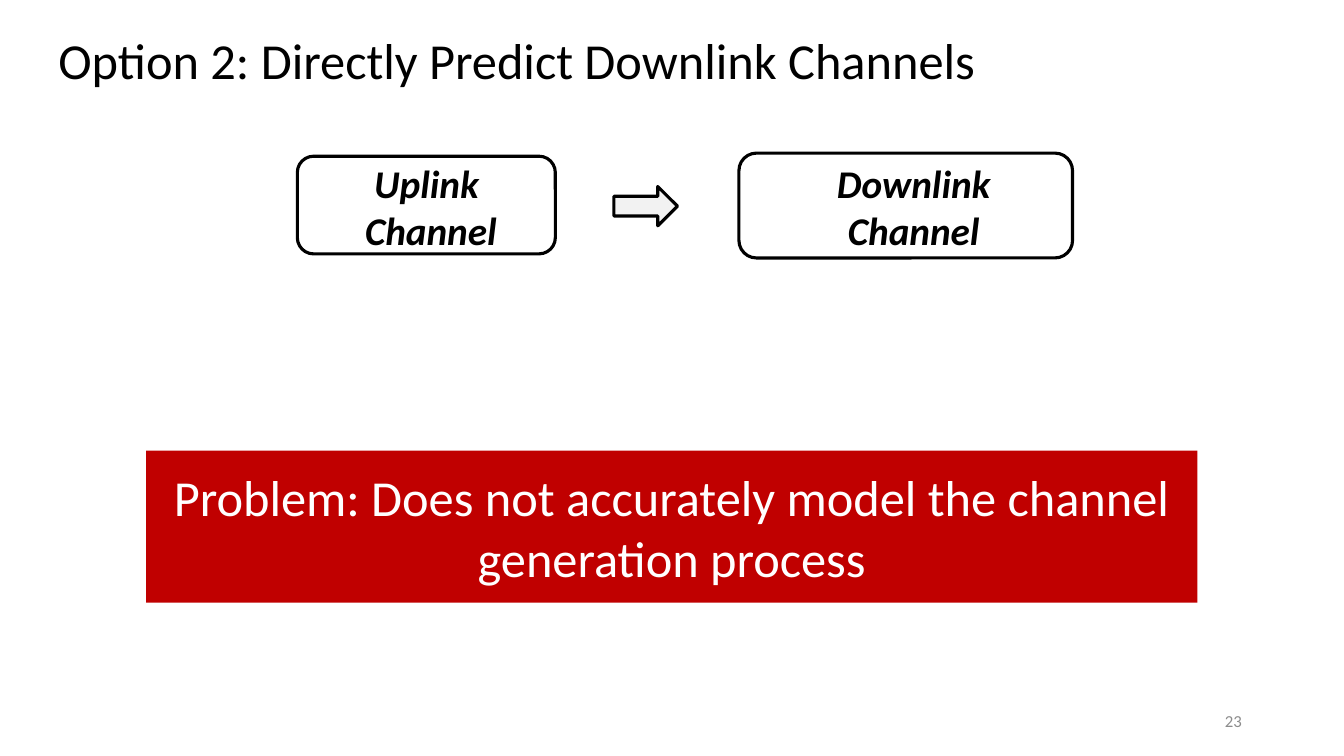
"""Build the slide on predicting downlink channels directly."""
from dataclasses import dataclass

from pptx import Presentation
from pptx.dml.color import RGBColor
from pptx.enum.shapes import MSO_SHAPE
from pptx.enum.text import MSO_ANCHOR, PP_ALIGN
from pptx.util import Pt

BLACK = "000000"


@dataclass(frozen=True)
class Box:
    left: float
    top: float
    width: float
    height: float

    def lengths(self) -> tuple:
        return Pt(self.left), Pt(self.top), Pt(self.width), Pt(self.height)


@dataclass(frozen=True)
class Wording:
    lines: tuple[str, ...]
    size: float
    color: str = BLACK
    align: PP_ALIGN = PP_ALIGN.CENTER
    anchor: MSO_ANCHOR = MSO_ANCHOR.TOP
    emphasis: bool = False
    wrap: bool = True


@dataclass(frozen=True)
class Outline:
    kind: MSO_SHAPE
    box: Box
    fill: str | None = None
    line: str | None = BLACK
    adjustments: tuple[float, ...] = ()


@dataclass(frozen=True)
class Label:
    box: Box
    wording: Wording


def rgb(color: str) -> RGBColor:
    return RGBColor.from_string(color)


def write(frame, wording: Wording) -> None:
    frame.word_wrap = wording.wrap
    frame.vertical_anchor = wording.anchor
    for index, line in enumerate(wording.lines):
        paragraph = frame.add_paragraph() if index else frame.paragraphs[0]
        paragraph.alignment = wording.align
        run = paragraph.add_run()
        run.text = line
        run.font.name = "Calibri"
        run.font.size = Pt(wording.size)
        run.font.bold = run.font.italic = wording.emphasis
        run.font.color.rgb = rgb(wording.color)


def draw_outline(slide, outline: Outline):
    shape = slide.shapes.add_shape(outline.kind, *outline.box.lengths())
    shape.shadow.inherit = False
    for index, value in enumerate(outline.adjustments):
        shape.adjustments[index] = value
    if outline.fill:
        shape.fill.solid()
        shape.fill.fore_color.rgb = rgb(outline.fill)
    else:
        shape.fill.background()
    if outline.line:
        shape.line.color.rgb = rgb(outline.line)
        shape.line.width = Pt(2.25)
    else:
        shape.line.fill.background()
    return shape


def draw_label(slide, label: Label) -> None:
    textbox = slide.shapes.add_textbox(*label.box.lengths())
    write(textbox.text_frame, label.wording)


CHANNEL_FLOW = (
    Outline(MSO_SHAPE.RIGHT_ARROW, Box(438.5, 133.2, 45.4, 28.1), "F2F2F2", adjustments=(0.5, 0.5)),
    Outline(MSO_SHAPE.ROUNDED_RECTANGLE, Box(212.4, 111.6, 184.3, 69.8), adjustments=(0.167,)),
    Outline(MSO_SHAPE.ROUNDED_RECTANGLE, Box(527.8, 109.4, 238.3, 74.9), adjustments=(0.167,)),
)
LABELS = (
    Label(Box(34.6, 17.3, 676.1, 51.1),
          Wording(("Option 2: Directly Predict Downlink Channels",), 36,
                  align=PP_ALIGN.LEFT, wrap=False)),
    Label(Box(194.4, 110.2, 226.8, 74.9), Wording(("Uplink ", "Channel"), 28, emphasis=True)),
    Label(Box(564.5, 110.2, 176.4, 74.9), Wording(("Downlink Channel",), 28, emphasis=True)),
    Label(Box(678.2, 500.4, 216, 28.8),
          Wording(("23",), 12, "8C8C8C", PP_ALIGN.RIGHT, MSO_ANCHOR.MIDDLE)),
)
PROBLEM_BANNER = Outline(MSO_SHAPE.RECTANGLE, Box(104.4, 321.8, 751, 108.7), "C00000", None)
PROBLEM = Wording(("Problem: Does not accurately model the channel generation process",),
                  36, "FFFFFF", anchor=MSO_ANCHOR.MIDDLE)


def main() -> None:
    deck = Presentation()
    deck.slide_width, deck.slide_height = Pt(960), Pt(540)
    slide = deck.slides.add_slide(deck.slide_layouts[6])
    for outline in CHANNEL_FLOW:
        draw_outline(slide, outline)
    for label in LABELS:
        draw_label(slide, label)
    write(draw_outline(slide, PROBLEM_BANNER).text_frame, PROBLEM)
    deck.save("out.pptx")


if __name__ == "__main__":
    main()
